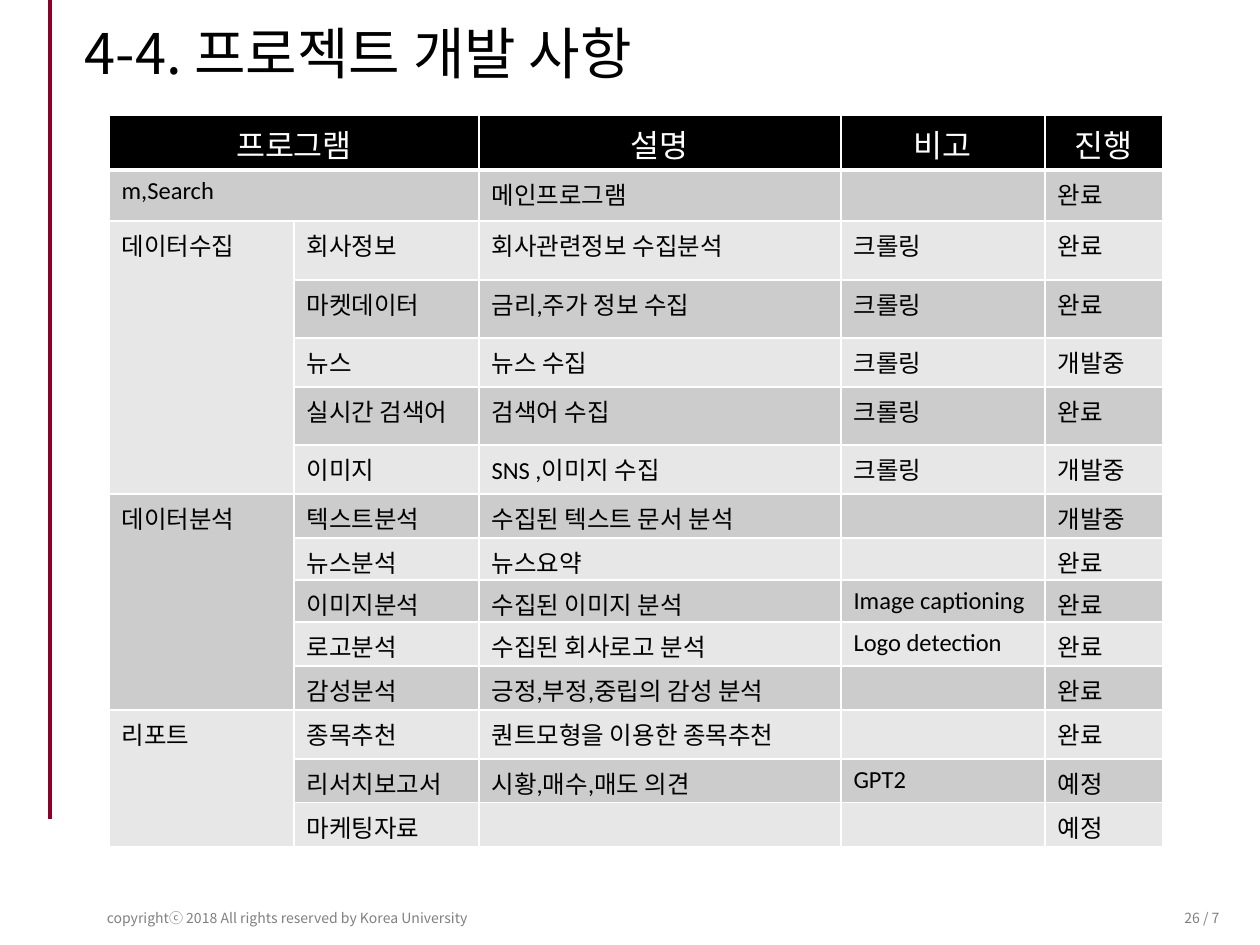
import pptx
import pptx.util
import pptx.dml.color
import pptx.enum.shapes
import pptx.enum.text
import pptx.oxml.ns
from dataclasses import dataclass
from lxml import etree

ALIGN = pptx.enum.text.PP_ALIGN
ANCHOR = pptx.enum.text.MSO_ANCHOR
qn = pptx.oxml.ns.qn


@dataclass(frozen=True)
class Theme:
    sans: str = "Noto Sans CJK KR"
    latin: str = "Calibri"
    ink: str = "000000"
    paper: str = "FFFFFF"
    gray: str = "808080"
    rule: str = "8B0028"
    bands: tuple = ("CCCCCC", "E7E7E7")
    title: int = 32
    head: int = 18
    body: int = 14
    small: int = 8


def px(num):
    return round(num * 914400 / 126)


def rgb(code):
    return pptx.dml.color.RGBColor.from_string(code)


def assign(item, values):
    for name, value in values.items():
        setattr(item, name, value)


class Page:
    def __init__(self, deck, theme):
        self.theme = theme
        self.slide = deck.slides.add_slide(deck.slide_layouts[5])

    def label(self, frame, text, size, color, face, **form):
        para = frame.paragraphs[0]
        assign(para, form)
        if not text:
            para._p.get_or_add_endParaRPr().set("sz", str(size * 100))
            return
        run = para.add_run()
        run.text = text
        assign(run.font, {"size": pptx.util.Pt(size), "name": face})
        run.font.color.rgb = rgb(color)
        east = etree.SubElement(run._r.get_or_add_rPr(), qn("a:ea"))
        east.set("typeface", self.theme.sans)

    def title(self, text, box):
        shape = self.slide.shapes.title
        assign(shape, dict(zip(("left", "top", "width", "height"), map(px, box))))
        assign(shape.text_frame, {
            "auto_size": pptx.enum.text.MSO_AUTO_SIZE.NONE,
            "vertical_anchor": ANCHOR.TOP, "word_wrap": True})
        self.label(shape.text_frame, text, self.theme.title, self.theme.ink,
                   self.theme.sans, alignment=ALIGN.LEFT, line_spacing=0.9)

    def note(self, text, box, align, anchor):
        frame = self.slide.shapes.add_textbox(*map(px, box)).text_frame
        assign(frame, {"word_wrap": True, "vertical_anchor": anchor})
        self.label(frame, text, self.theme.small, self.theme.gray,
                   self.theme.sans, alignment=align)

    def line(self, start, end, color, width):
        kind = pptx.enum.shapes.MSO_CONNECTOR.STRAIGHT
        rule = self.slide.shapes.add_connector(kind, *map(px, start + end))
        rule.line.width = pptx.util.Pt(width)
        rule.line.color.rgb = rgb(color)
        etree.SubElement(rule._element.spPr, qn("a:effectLst"))

    def border(self, cell, base):
        props = cell._tc.get_or_add_tcPr()
        for spot, side in enumerate("LRTB"):
            width = base if side == "B" else 1
            edge = etree.Element(qn("a:ln" + side), w=str(int(pptx.util.Pt(width))))
            fill = etree.SubElement(edge, qn("a:solidFill"))
            etree.SubElement(fill, qn("a:srgbClr"), val=self.theme.paper)
            props.insert(spot, edge)

    def table(self, rows, spot, wides, highs, spans):
        theme = self.theme
        size = (sum(wides), sum(highs))
        grid = self.slide.shapes.add_table(
            len(rows), len(wides), *map(px, spot + size)).table
        for col, wide in zip(grid.columns, wides):
            col.width = px(wide)
        for row, high in zip(grid.rows, highs):
            row.height = px(high)
        for r, row in enumerate(rows):
            head = r == 0
            for c, text in enumerate(row):
                cell = grid.cell(r, c)
                cell.fill.solid()
                cell.fill.fore_color.rgb = rgb(
                    theme.ink if head else theme.bands[(r - 1) % 2])
                self.border(cell, 3 if head else 1)
                self.label(cell.text_frame, text,
                           theme.head if head and text else theme.body,
                           theme.paper if head else theme.ink, theme.latin,
                           alignment=ALIGN.CENTER if head else ALIGN.LEFT)
        for first, last in spans:
            grid.cell(*first).merge(grid.cell(*last))


ROWS = [
    ("프로그램", "", "설명", "비고", "진행"),
    ("m,Search", "", "메인프로그램", "", "완료"),
    ("데이터수집", "회사정보", "회사관련정보 수집분석", "크롤링", "완료"),
    ("", "마켓데이터", "금리,주가 정보 수집", "크롤링", "완료"),
    ("", "뉴스", "뉴스 수집", "크롤링", "개발중"),
    ("", "실시간 검색어", "검색어 수집", "크롤링", "완료"),
    ("", "이미지", "SNS ,이미지 수집", "크롤링", "개발중"),
    ("데이터분석", "텍스트분석", "수집된 텍스트 문서 분석", "", "개발중"),
    ("", "뉴스분석", "뉴스요약", "", "완료"),
    ("", "이미지분석", "수집된 이미지 분석", "Image captioning", "완료"),
    ("", "로고분석", "수집된 회사로고 분석", "Logo detection", "완료"),
    ("", "감성분석", "긍정,부정,중립의 감성 분석", "", "완료"),
    ("리포트", "종목추천", "퀀트모형을 이용한 종목추천", "", "완료"),
    ("", "리서치보고서", "시황,매수,매도 의견", "GPT2", "예정"),
    ("", "마케팅자료", "", "", "예정"),
]
WIDES = (185, 185, 362, 204, 118)
HIGHS = (55, 51, 59, 58, 49, 58, 49, 44, 21, 21, 44, 44, 49, 44, 44)
SPANS = [((0, 0), (0, 1)), ((1, 0), (1, 1)),
         ((2, 0), (6, 0)), ((7, 0), (11, 0)), ((12, 0), (14, 0))]


def main():
    deck = pptx.Presentation()
    assign(deck, {"slide_width": px(1260), "slide_height": px(945)})
    theme = Theme()
    page = Page(deck, theme)

    # Footer and side rule
    page.note("26 / 7", (1149, 906, 83, 24), ALIGN.RIGHT, ANCHOR.MIDDLE)
    page.note("copyrightⓒ 2018 All rights reserved by Korea University",
              (74, 903, 427, 30), ALIGN.CENTER, ANCHOR.TOP)
    page.line((50, 0), (50, 819), theme.rule, 2.25)

    # Title
    page.title("4-4. 프로젝트 개발 사항", (72, 20, 912, 70))

    # Progress table
    page.table(ROWS, (109, 115), WIDES, HIGHS, SPANS)

    deck.save("out.pptx")


if __name__ == "__main__":
    main()
